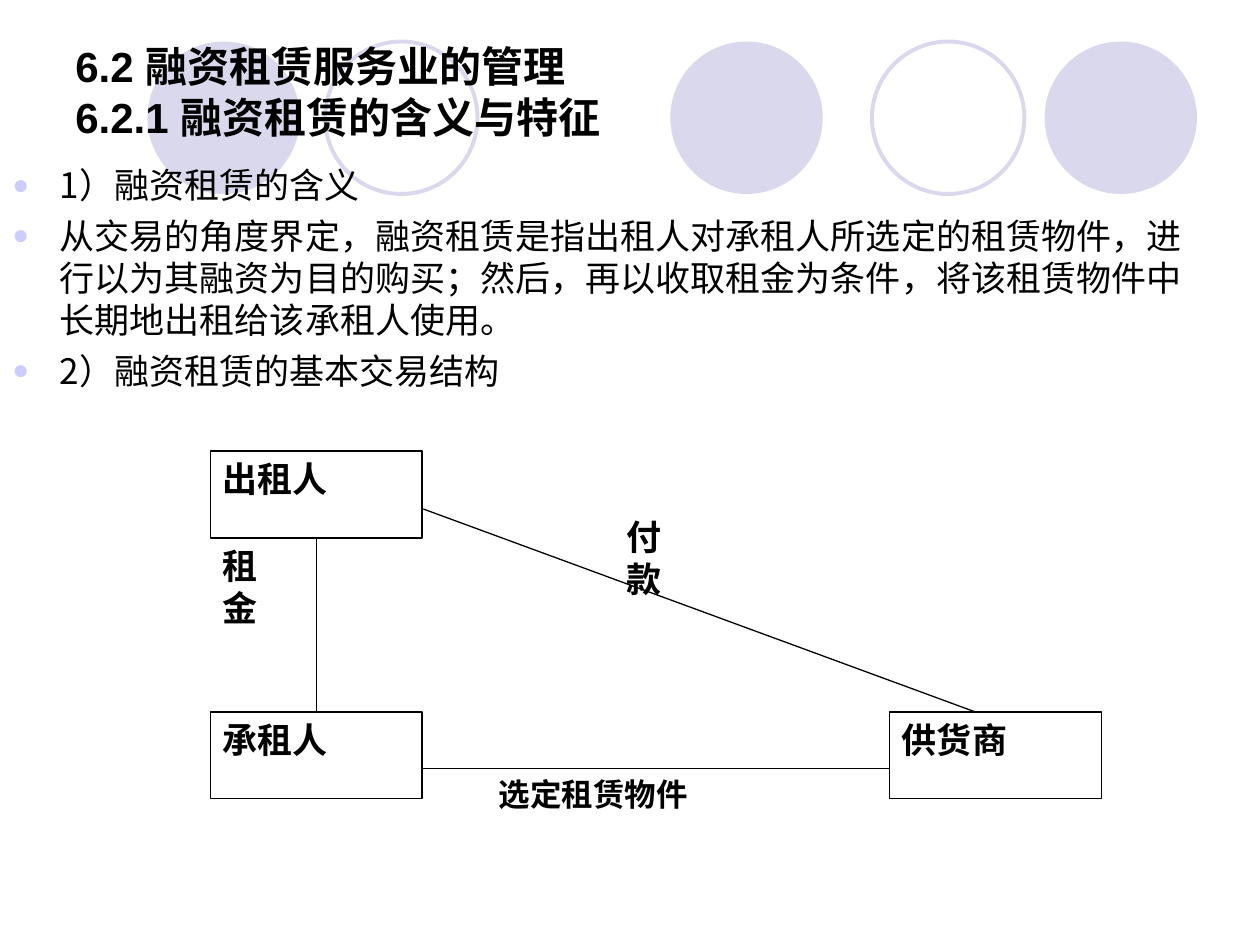
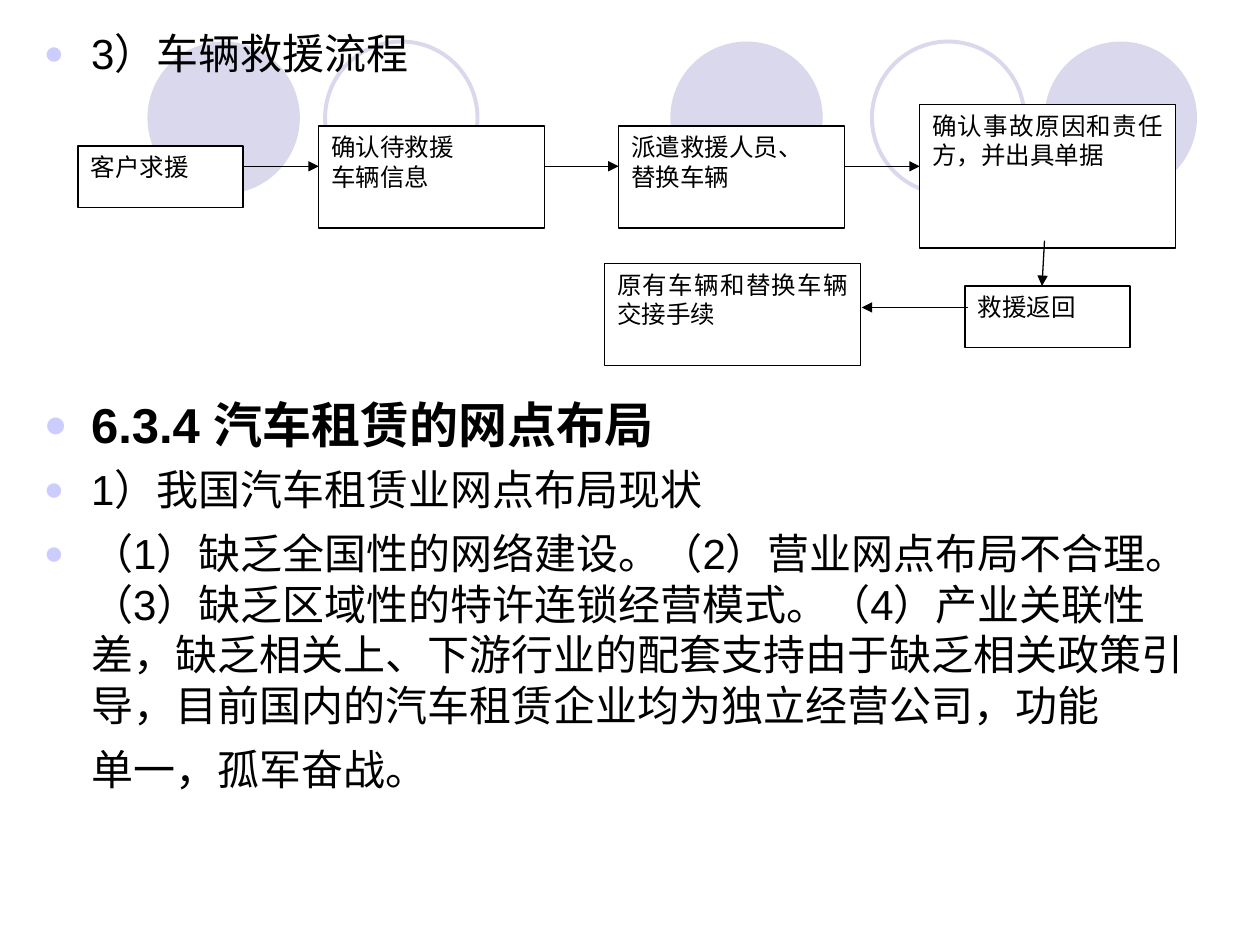
from dataclasses import dataclass
from typing import Any, NamedTuple, Optional

from lxml import etree
from pptx import Presentation
from pptx.dml.color import RGBColor
from pptx.enum.shapes import MSO_CONNECTOR, MSO_SHAPE
from pptx.enum.text import MSO_ANCHOR, PP_ALIGN
from pptx.oxml.ns import qn
from pptx.util import Inches, Pt

RECT = MSO_SHAPE.RECTANGLE
OVAL = MSO_SHAPE.OVAL
STRAIGHT = MSO_CONNECTOR.STRAIGHT
TOP, MIDDLE = MSO_ANCHOR.TOP, MSO_ANCHOR.MIDDLE
LEFT, JUSTIFY = PP_ALIGN.LEFT, PP_ALIGN.JUSTIFY

BLACK, WHITE, LILAC, DOT = "000000", "FFFFFF", "D9D8EC", "CCCCFF"
ARIAL, TIMES, NOTO = "Arial", "Times New Roman", "Noto Sans CJK SC"
LEADING = 1.2
INDENT = Inches(3 / 8)


class Line(NamedTuple):
    text: str
    size: int
    space: int = 0
    bold: bool = False
    dot: bool = True


class Style(NamedTuple):
    font: str
    align: Any = LEFT
    anchor: Any = TOP
    bullet: bool = False


@dataclass
class Box:
    left: float
    top: float
    width: float
    height: float
    lines: list[Line]
    style: Style
    edge: bool = True


class Link(NamedTuple):
    x1: float
    y1: float
    x2: float
    y2: float


class Ring(NamedTuple):
    left: float
    solid: bool


RINGS = [Ring(5.32, True), Ring(8.29, True), Ring(1.17, True),
         Ring(6.92, False), Ring(2.58, False)]

TITLE = Style(ARIAL, anchor=MIDDLE)
TERMS = Style(NOTO, bullet=True)
POINTS = Style(ARIAL, bullet=True)
PARTY = Style(TIMES, align=JUSTIFY)
STEP = Style(NOTO, align=JUSTIFY)


def color(code: str) -> RGBColor:
    return RGBColor.from_string(code)


def apply(item: Any, values: dict[str, Any]) -> None:
    for name, value in values.items():
        setattr(item, name, value)


def paint(shape: Any, fill: Optional[str], edge: Optional[str], width: float) -> None:
    shape.shadow.inherit = False
    if fill:
        shape.fill.solid()
        shape.fill.fore_color.rgb = color(fill)
    else:
        shape.fill.background()
    if edge:
        shape.line.color.rgb = color(edge)
        shape.line.width = Pt(width)
    else:
        shape.line.fill.background()


def indent(para: Any, dot: bool) -> None:
    props = para._p.get_or_add_pPr()
    props.set("marL", str(INDENT))
    props.set("indent", str(-INDENT if dot else 0))
    props.set("hangingPunct", "0")
    if not dot:
        etree.SubElement(props, qn("a:buNone"))
        return
    tint = etree.SubElement(props, qn("a:buClr"))
    etree.SubElement(tint, qn("a:srgbClr"), val=DOT)
    etree.SubElement(props, qn("a:buSzPct"), val="80000")
    etree.SubElement(props, qn("a:buFont"), typeface=ARIAL)
    etree.SubElement(props, qn("a:buChar"), char="●")


def write(shape: Any, lines: list[Line], style: Style) -> None:
    frame = shape.text_frame
    apply(frame, {
        "word_wrap": True, "vertical_anchor": style.anchor,
        "margin_left": Inches(0.1), "margin_right": Inches(0.1),
        "margin_top": Inches(0.05), "margin_bottom": Inches(0.05),
    })
    for index, line in enumerate(lines):
        para = frame.add_paragraph() if index else frame.paragraphs[0]
        if style.bullet:
            indent(para, line.dot)
        apply(para, {
            "alignment": style.align, "space_before": Pt(line.space),
            "line_spacing": Pt(line.size * LEADING),
        })
        run = para.add_run()
        run.text = line.text
        apply(run.font, {"name": style.font, "size": Pt(line.size), "bold": line.bold})
        run.font.color.rgb = color(BLACK)
        etree.SubElement(run._r.get_or_add_rPr(), qn("a:ea"), typeface=NOTO)


def add_text(slide: Any, box: Box) -> None:
    place = map(Inches, (box.left, box.top, box.width, box.height))
    write(slide.shapes.add_textbox(*place), box.lines, box.style)


def add_box(slide: Any, box: Box) -> Any:
    place = map(Inches, (box.left, box.top, box.width, box.height))
    shape = slide.shapes.add_shape(RECT, *place)
    paint(shape, WHITE, BLACK if box.edge else None, 0.75)
    write(shape, box.lines, box.style)
    return shape


def add_link(slide: Any, link: Link, arrow: bool = False) -> Any:
    line = slide.shapes.add_connector(STRAIGHT, *map(Inches, link))
    line.line.color.rgb = color(BLACK)
    line.line.width = Pt(0.75)
    if arrow:
        etree.SubElement(line.line._get_or_add_ln(), qn("a:tailEnd"), type="triangle")
    etree.SubElement(line._element.spPr, qn("a:effectLst"))
    return line


def add_page(deck: Any) -> Any:
    slide = deck.slides.add_slide(deck.slide_layouts[6])
    slide.background.fill.solid()
    slide.background.fill.fore_color.rgb = color(WHITE)
    side = Inches(1.21)
    for ring in RINGS:
        shape = slide.shapes.add_shape(OVAL, Inches(ring.left), Inches(0.33), side, side)
        paint(shape, LILAC if ring.solid else None, None if ring.solid else LILAC, 2.25)
    return slide


def party(left: float, top: float, name: str) -> Box:
    return Box(left, top, 1.68, 0.69, [Line(name, 20, bold=True)], PARTY)


def label(left: float, top: float, width: float, height: float,
          size: int, *words: str) -> Box:
    lines = [Line(word, size, bold=True) for word in words]
    return Box(left, top, width, height, lines, PARTY, edge=False)


def step(left: float, top: float, width: float, height: float, *words: str) -> Box:
    return Box(left, top, width, height, [Line(word, 14) for word in words], STEP)


def build_lease(deck: Any) -> None:
    slide = add_page(deck)
    add_text(slide, Box(0.5, 0.25, 9, 0.95, [
        Line("6.2 融资租赁服务业的管理", 24, bold=True),
        Line("6.2.1 融资租赁的含义与特征", 24, bold=True),
    ], TITLE))
    add_text(slide, Box(0, 1.25, 9.75, 6, [
        Line("1）融资租赁的含义", 20),
        Line("从交易的角度界定，融资租赁是指出租人对承租人所选定的租赁物件，"
             "进行以为其融资为目的购买；然后，再以收取租金为条件，"
             "将该租赁物件中长期地出租给该承租人使用。", 20, 5),
        Line("2）融资租赁的基本交易结构", 20, 5),
    ], TERMS))
    for tag in (label(4.87, 4.04, 1.52, 1.15, 20, "付", "款"),
                label(3.86, 6.1, 2.53, 0.69, 18, "选定租赁物件"),
                label(1.67, 4.27, 0.67, 1.15, 20, "租", "金")):
        add_box(slide, tag)
    lessor = add_box(slide, party(1.67, 3.58, "出租人"))
    add_box(slide, party(7.06, 5.65, "供货商"))
    lessee = add_box(slide, party(1.67, 5.65, "承租人"))
    rent = add_link(slide, Link(2.51, 4.27, 2.51, 5.65))
    rent.begin_connect(lessor, 2)
    rent.end_connect(lessee, 0)
    add_link(slide, Link(3.36, 6.1, 7.06, 6.1))
    add_link(slide, Link(3.36, 4.04, 7.74, 5.65))


def build_rescue(deck: Any) -> None:
    slide = add_page(deck)
    add_text(slide, Box(0.25, 0.17, 9.5, 0.5, [Line("3）车辆救援流程", 24)], POINTS))
    add_text(slide, Box(0.25, 3.08, 9.5, 4.17, [
        Line("6.3.4 汽车租赁的网点布局", 28, bold=True),
        Line("1）我国汽车租赁业网点布局现状", 24, 6),
        Line("（1）缺乏全国性的网络建设。（2）营业网点布局不合理。"
             "（3）缺乏区域性的特许连锁经营模式。（4）产业关联性差，"
             "缺乏相关上、下游行业的配套支持由于缺乏相关政策引导，"
             "目前国内的汽车租赁企业均为独立经营公司，功能", 24, 8),
        Line("单一，孤军奋战。", 24, 8, dot=False),
    ], POINTS))
    for stage in (step(0.62, 1.16, 1.31, 0.49, "客户求援"),
                  step(2.53, 1, 1.79, 0.81, "确认待救援", "车辆信息"),
                  step(4.91, 1, 1.79, 0.81, "派遣救援人员、", "替换车辆"),
                  step(7.3, 0.83, 2.03, 1.14, "确认事故原因和责任方，并出具单据"),
                  step(7.66, 2.27, 1.31, 0.49, "救援返回"),
                  step(4.8, 2.09, 2.03, 0.81, "原有车辆和替换车辆交接手续")):
        add_box(slide, stage)
    for link in (Link(1.93, 1.32, 2.53, 1.32), Link(4.32, 1.32, 4.91, 1.32),
                 Link(6.7, 1.32, 7.3, 1.32), Link(8.29, 1.91, 8.27, 2.27),
                 Link(7.68, 2.44, 6.84, 2.44)):
        add_link(slide, link, arrow=True)


def main() -> None:
    deck = Presentation()
    apply(deck, {"slide_width": Inches(10), "slide_height": Inches(7.5)})
    build_lease(deck)
    build_rescue(deck)
    deck.save("out.pptx")


if __name__ == "__main__":
    main()
